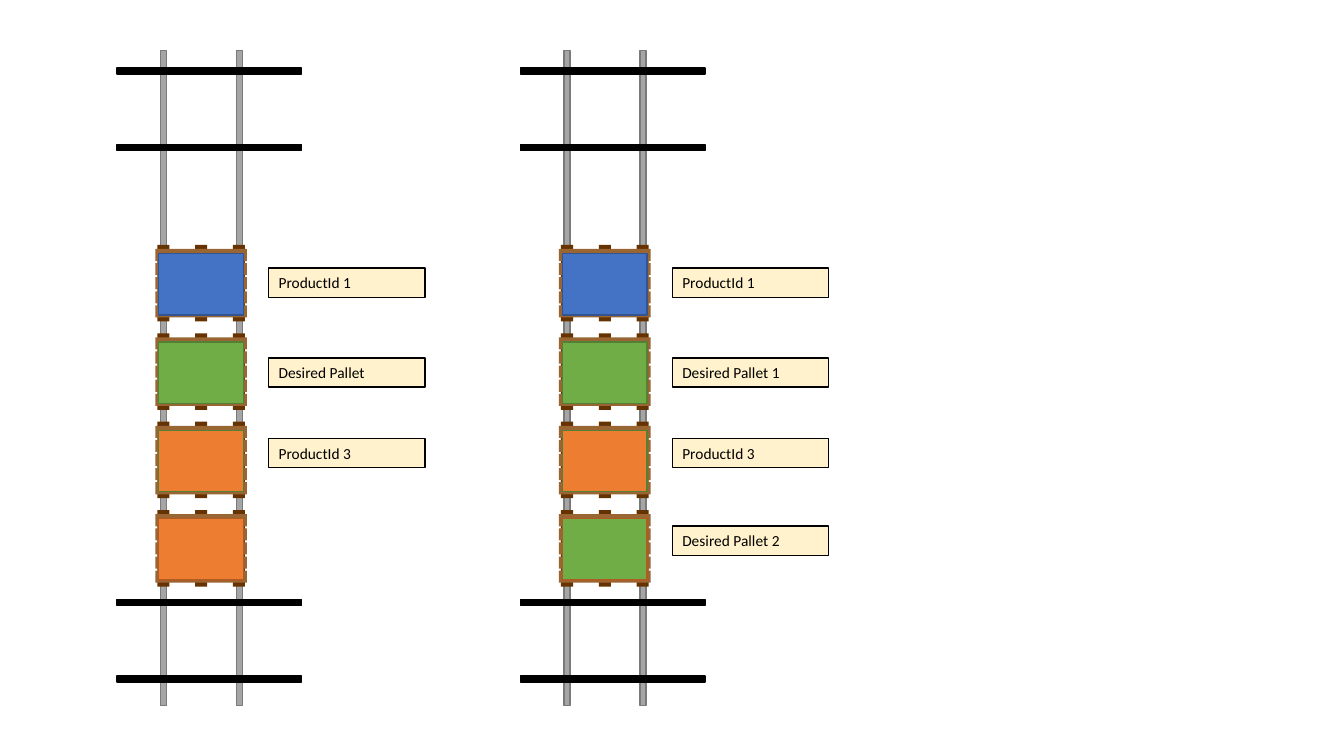
from pptx import Presentation
from pptx.dml.color import RGBColor
from pptx.enum.shapes import MSO_SHAPE
from pptx.enum.text import MSO_AUTO_SIZE, PP_ALIGN
from pptx.util import Inches, Pt

RECTANGLE = MSO_SHAPE.RECTANGLE
FIT_TO_TEXT = MSO_AUTO_SIZE.SHAPE_TO_FIT_TEXT
LEFT = PP_ALIGN.LEFT

CELL = Inches(0.1)
COLUMNS, ROWS = 133.33, 75
LANE_LEFT, LANE_PITCH = 15.4, 40.05
PALLET_TOP, PALLET_PITCH = 24.7, 8.77
RAIL_OFFSETS = (0.5, 8.05)
CROSSBAR_PAIRS = ((50.6, 58.2), (-2.1, 5.5))
LABEL_TOPS = (26.6, 35.5, 43.5, 52.2)

RAIL, RAIL_EDGE = "A5A5A5", "7A7A7A"
RUNNER, BOARD = "663300", "996633"
BLACK, CREAM = "000000", "FFF2CC"
BLUE, GREEN, ORANGE = "4472C4", "70AD47", "ED7D31"
LOAD_EDGES = ("325491", "538035", "538035", "AF5C24")
LABEL_FONT = {"name": "Calibri", "size": Pt(11)}

LANES = (
    ((BLUE, GREEN, ORANGE, ORANGE),
     ("ProductId 1", "Desired Pallet", "ProductId 3")),
    ((BLUE, GREEN, ORANGE, GREEN),
     ("ProductId 1", "Desired Pallet 1", "ProductId 3", "Desired Pallet 2")),
)


def color(value):
    """Return the colour for a hex string."""
    return RGBColor.from_string(value)


def cells(count):
    """Convert grid cells to a slide length."""
    return round(count * CELL)


def add_block(shapes, box, fill, edge=None, rotation=0):
    """Add a flat rectangle given as left, top, width and height in cells."""
    shape = shapes.add_shape(RECTANGLE, *map(cells, box))
    shape.shadow.inherit = False
    shape.rotation = rotation
    shape.fill.solid()
    shape.fill.fore_color.rgb = color(fill)
    if edge:
        shape.line.color.rgb = color(edge)
        shape.line.width = Pt(1)
    else:
        shape.line.fill.background()
    return shape


def add_rails(slide, left):
    """Add the two upright rails of a lane."""
    shapes = slide.shapes.add_group_shape().shapes
    for offset in RAIL_OFFSETS:
        add_block(shapes, (left + offset, 5, 0.6, 65), RAIL, RAIL_EDGE)


def add_crossbars(slide, left, tops):
    """Add a pair of bars lying across the rails."""
    shapes = slide.shapes.add_group_shape().shapes
    for top in tops:
        add_block(shapes, (left + 5.05, top, 0.6, 18.3), BLACK, BLACK, 90)


def add_pallet(slide, left, top, fill, edge):
    """Add a pallet of three runners and five boards with its load."""
    shapes = slide.shapes.add_group_shape().shapes
    for index in range(3):
        runner_left = left - 3 + 3.75 * index
        add_block(shapes, (runner_left, top + 2.8, 7.6, 1.2), RUNNER, rotation=90)
    for index in range(5):
        add_block(shapes, (left, top + 1.4 * index, 9.1, 1.2), BOARD)
    add_block(shapes, (left + 0.35, top + 0.45, 8.4, 6.1), fill, edge)


def add_label(slide, left, top, text):
    """Add a cream label beside a pallet."""
    shape = add_block(slide.shapes, (left, top, 15.5, 2.9), CREAM, BLACK)
    frame = shape.text_frame
    frame.word_wrap = True
    frame.auto_size = FIT_TO_TEXT
    paragraph = frame.paragraphs[0]
    paragraph.text = text
    paragraph.alignment = LEFT
    for name, value in LABEL_FONT.items():
        setattr(paragraph.font, name, value)
    paragraph.font.color.rgb = color(BLACK)


def add_lane(slide, left, loads, labels):
    """Add one lane with rails, crossbars, pallets and labels."""
    add_rails(slide, left)
    for tops in CROSSBAR_PAIRS:
        add_crossbars(slide, left, tops)
    for index, (fill, edge) in enumerate(zip(loads, LOAD_EDGES)):
        add_pallet(slide, left, PALLET_TOP + PALLET_PITCH * index, fill, edge)
    for top, text in zip(LABEL_TOPS, labels):
        add_label(slide, left + 11.25, top, text)


def main():
    """Build the slide with two pallet lanes."""
    presentation = Presentation()
    presentation.slide_width = cells(COLUMNS)
    presentation.slide_height = cells(ROWS)
    slide = presentation.slides.add_slide(presentation.slide_layouts[6])
    for index, (loads, labels) in enumerate(LANES):
        add_lane(slide, LANE_LEFT + LANE_PITCH * index, loads, labels)
    presentation.save("out.pptx")


if __name__ == "__main__":
    main()
